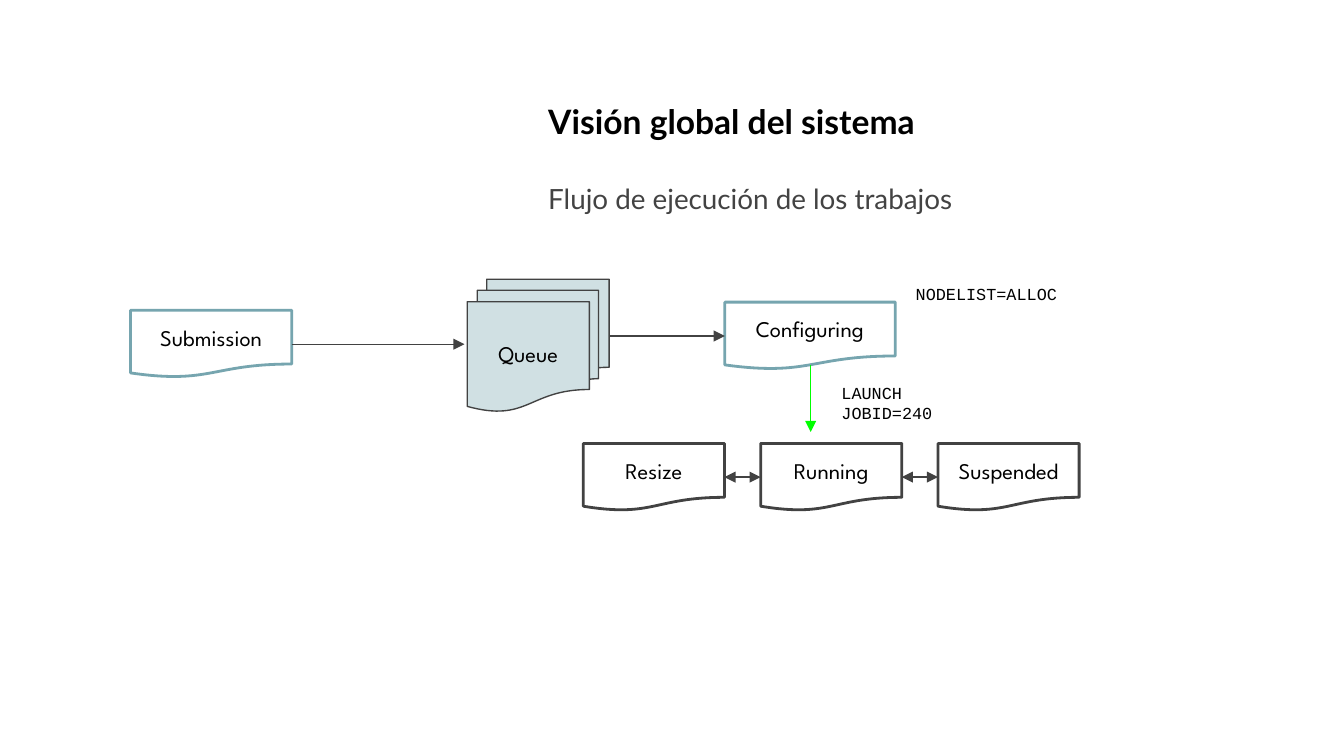
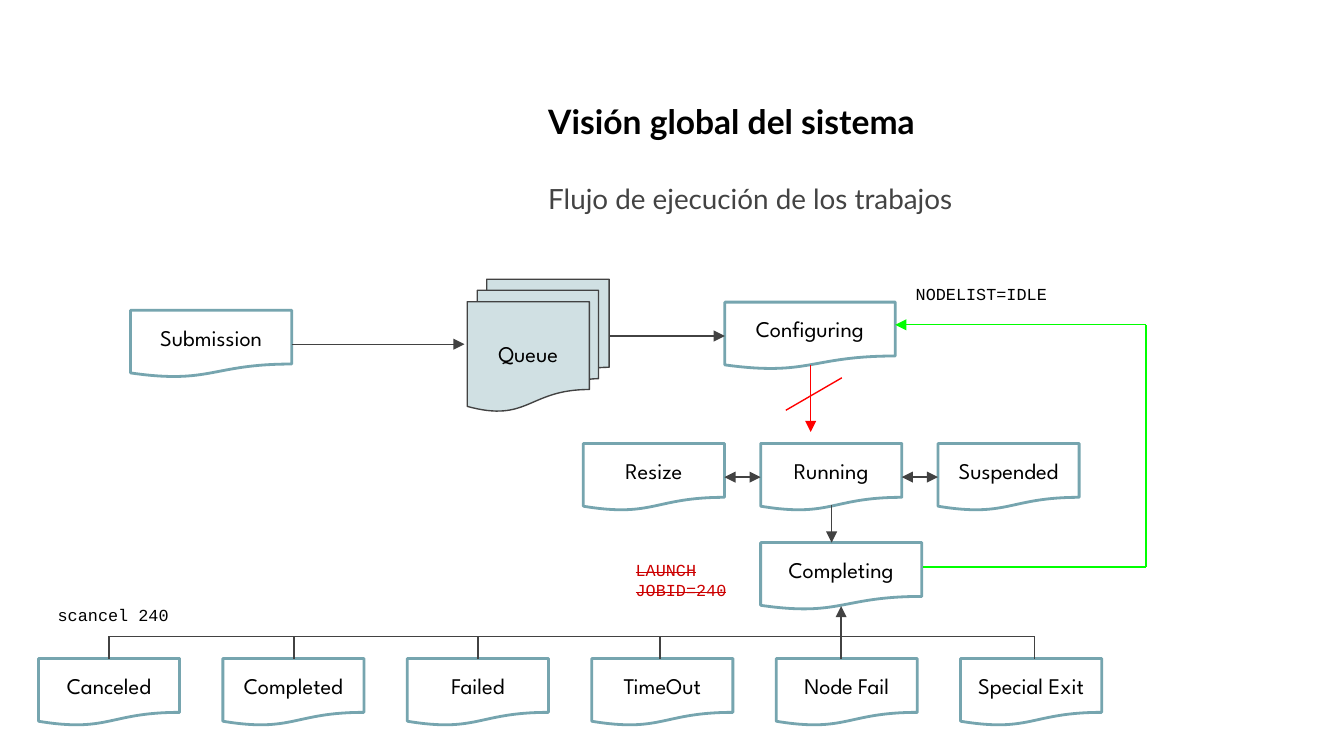
from dataclasses import dataclass

from lxml import etree
from pptx import Presentation
from pptx import util as u
from pptx.dml.color import RGBColor
from pptx.enum import shapes, text
from pptx.oxml import ns


@dataclass(frozen=True)
class Theme:
    """Colours, fonts and sizes shared by the slides."""
    ink: str = "000000"
    grey: str = "434343"
    stroke: str = "424242"
    teal: str = "76A5AF"
    pale: str = "D0E0E3"
    go: str = "00FF00"
    stop: str = "FF0000"
    struck: str = "CC0000"
    title_font: str = "Lato"
    label_font: str = "League Spartan"
    code_font: str = "Courier New"
    title_size: float = 18
    subtitle_size: float = 14.9
    label_size: float = 12
    code_size: float = 9
    inset: float = 7.2
    thin: float = 0.75
    thick: float = 1.5


THEME = Theme()
DOCUMENT_HEIGHT = 36
STATE_WIDTH = 75.6
STATE_TOP = 237.6
END_TOP = 352.8
BUS_Y = 341
CONFIGURING_X = 434.3


def colour(value):
    """Turn a hex string into a colour."""
    return RGBColor.from_string(value)


def write(para, words, font, size, ink=THEME.ink, bold=False, strike=False,
          align=text.PP_ALIGN.LEFT, before=0):
    """Add formatted text to a paragraph."""
    para.alignment = align
    para.line_spacing = 1.0
    para.space_before = u.Pt(before)
    para.space_after = u.Pt(0)
    span = para.add_run()
    span.text = words
    span.font.name = font
    span.font.size = u.Pt(size)
    span.font.bold = bold
    span.font.color.rgb = colour(ink)
    if strike:
        span.font._element.set("strike", "sngStrike")


def set_frame(box, anchor):
    """Give a box its insets, wrapping and anchor, and return its frame."""
    frame = box.text_frame
    frame.word_wrap = True
    frame.auto_size = text.MSO_AUTO_SIZE.NONE
    frame.vertical_anchor = anchor
    for side in ("left", "top", "right", "bottom"):
        setattr(frame, f"margin_{side}", u.Pt(THEME.inset))
    return frame


def add_title(page):
    """Write the title and subtitle in the title placeholder."""
    box = page.shapes.title
    box.left, box.top, box.width, box.height = map(u.Pt, (286.5, 46.8, 370, 78.5))
    frame = set_frame(box, text.MSO_ANCHOR.TOP)
    write(frame.paragraphs[0], "Visión global del sistema",
          THEME.title_font, THEME.title_size, bold=True)
    write(frame.add_paragraph(), "Flujo de ejecución de los trabajos",
          THEME.title_font, THEME.subtitle_size, ink=THEME.grey, before=21.6)


def add_node(page, words, x, y, width, height=DOCUMENT_HEIGHT, line=THEME.teal,
             weight=THEME.thick, fill=None,
             kind=shapes.MSO_SHAPE.FLOWCHART_DOCUMENT):
    """Add a labelled flowchart shape."""
    box = page.shapes.add_shape(kind, u.Pt(x), u.Pt(y), u.Pt(width), u.Pt(height))
    box.shadow.inherit = False
    if fill:
        box.fill.solid()
        box.fill.fore_color.rgb = colour(fill)
    else:
        box.fill.background()
    box.line.color.rgb = colour(line)
    box.line.width = u.Pt(weight)
    frame = set_frame(box, text.MSO_ANCHOR.MIDDLE)
    write(frame.paragraphs[0], words, THEME.label_font, THEME.label_size,
          align=text.PP_ALIGN.CENTER)
    return box


def add_line(page, start, end, line=THEME.stroke, head=False, tail=False):
    """Add a straight line with optional arrowheads at its start and end."""
    link = page.shapes.add_connector(
        shapes.MSO_CONNECTOR.STRAIGHT, *map(u.Pt, (*start, *end)))
    link.line.color.rgb = colour(line)
    link.line.width = u.Pt(THEME.thin)
    outline = link.line._get_or_add_ln()
    for tag, wanted in (("a:headEnd", head), ("a:tailEnd", tail)):
        if wanted:
            etree.SubElement(outline, ns.qn(tag), type="triangle")
    etree.SubElement(link._element.spPr, ns.qn("a:effectLst"))
    return link


def add_code(page, words, x, y, width, height=25.2, **style):
    """Add a monospaced note."""
    box = page.shapes.add_textbox(u.Pt(x), u.Pt(y), u.Pt(width), u.Pt(height))
    frame = set_frame(box, text.MSO_ANCHOR.TOP)
    write(frame.paragraphs[0], words, THEME.code_font, THEME.code_size, **style)


def add_launch(page, x, y, **style):
    """Add the launch note, wrapped on two lines."""
    add_code(page, "LAUNCH JOBID=240", x, y, 68.4, 36, **style)


def add_states(page, line):
    """Add the row of running states joined by two-way arrows."""
    boxes = [add_node(page, words, 312.5 + 95 * i, STATE_TOP, STATE_WIDTH, line=line)
             for i, words in enumerate(("Resize", "Running", "Suspended"))]
    for left, right in zip(boxes, boxes[1:]):
        link = add_line(page, (0, 0), (0, 0), head=True, tail=True)
        link.begin_connect(left, 3)
        link.end_connect(right, 1)


def add_end_states(page):
    """Add the row of end states and the bus that leads to Completing."""
    names = ("Canceled", "Completed", "Failed", "TimeOut", "Node Fail", "Special Exit")
    for i, words in enumerate(names):
        add_node(page, words, 20.6 + 98.8 * i, END_TOP, STATE_WIDTH)
    stems = (58.5, 157.5, 256, 353.5, 554.3)
    for x in stems:
        add_line(page, (x, END_TOP), (x, BUS_Y))
    add_line(page, (stems[0], BUS_Y), (stems[-1], BUS_Y))
    add_line(page, (450.6, END_TOP), (450.6, 324.7), tail=True)


def add_flow(deck, node_list, launch_line, state_line):
    """Add a slide with the part of the flow that both slides show."""
    page = deck.slides.add_slide(deck.slide_layouts[5])
    add_title(page)
    add_node(page, "Queue", 250.3, 149.6, 76, 70.8, line=THEME.stroke,
             weight=THEME.thin, fill=THEME.pale,
             kind=shapes.MSO_SHAPE.FLOWCHART_MULTIDOCUMENT)
    add_node(page, "Submission", 70, 166.2, 86.3)
    add_node(page, "Configuring", 388.3, 161.9, 91.3)
    add_line(page, (156.3, 184.4), (248.8, 184.4), tail=True)
    add_line(page, (326.2, 180), (388.3, 180), tail=True)
    add_line(page, (CONFIGURING_X, 195.8), (CONFIGURING_X, 231.4),
             line=launch_line, tail=True)
    add_states(page, state_line)
    add_code(page, node_list, 483.5, 144.7, 108)
    return page


def add_launch_slide(deck):
    """Add the slide where the job is launched."""
    page = add_flow(deck, "NODELIST=ALLOC", THEME.go, THEME.stroke)
    add_launch(page, 443.7, 197.8)


def add_completion_slide(deck):
    """Add the slide where the job ends and frees its nodes."""
    page = add_flow(deck, "NODELIST=IDLE", THEME.stop, THEME.teal)
    add_line(page, (421, 219.8), (451, 202.4), line=THEME.stop)
    add_node(page, "Completing", 407.5, 290.7, 86.3)
    add_line(page, (445.5, 270.8), (445.5, 290.7), tail=True)
    add_launch(page, 333.4, 292.6, ink=THEME.struck, strike=True)
    add_end_states(page)
    add_code(page, "scancel 240", 23.8, 317, 75.6)
    lower, upper = (614, 303.8), (614, 174)
    add_line(page, (494.6, 303.8), lower, line=THEME.go)
    add_line(page, lower, upper, line=THEME.go)
    add_line(page, upper, (479.6, 174), line=THEME.go, tail=True)


def main():
    """Build and save the deck."""
    deck = Presentation()
    deck.slide_width, deck.slide_height = u.Pt(720), u.Pt(405)
    add_launch_slide(deck)
    add_completion_slide(deck)
    deck.save("out.pptx")


if __name__ == "__main__":
    main()
